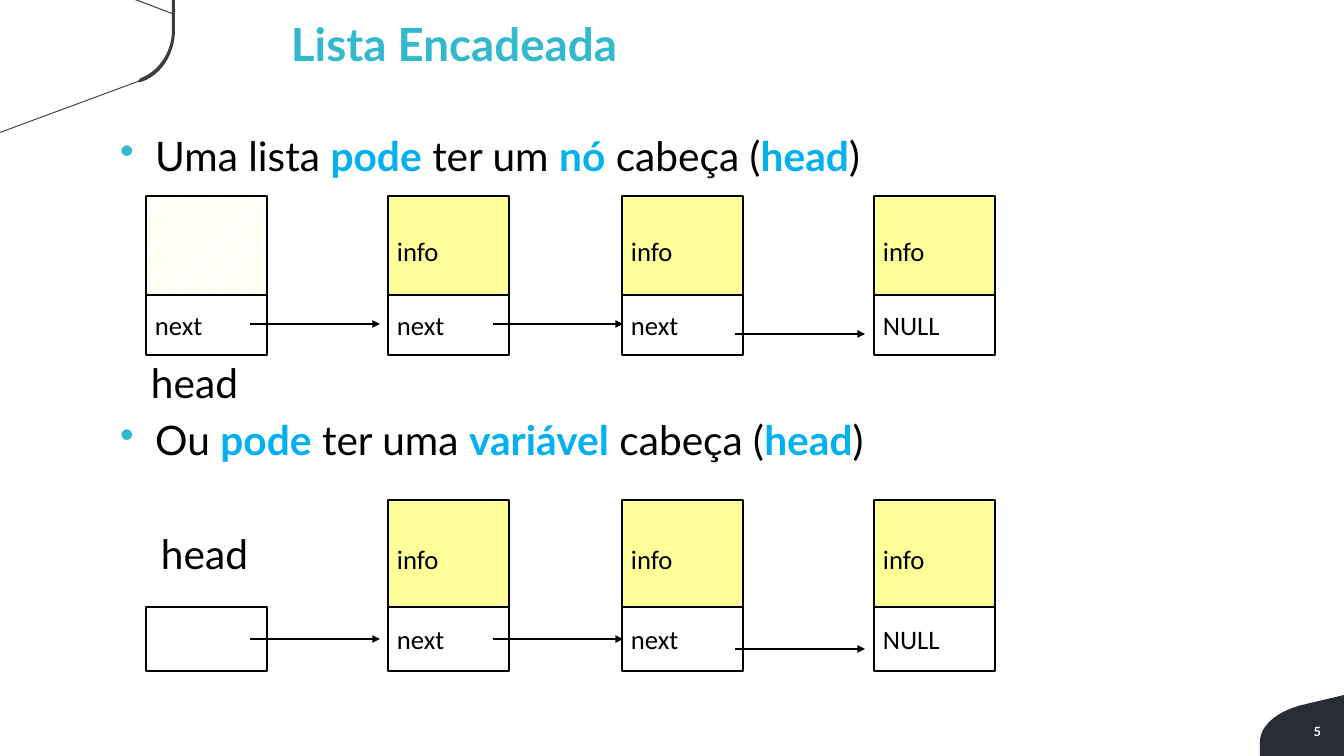
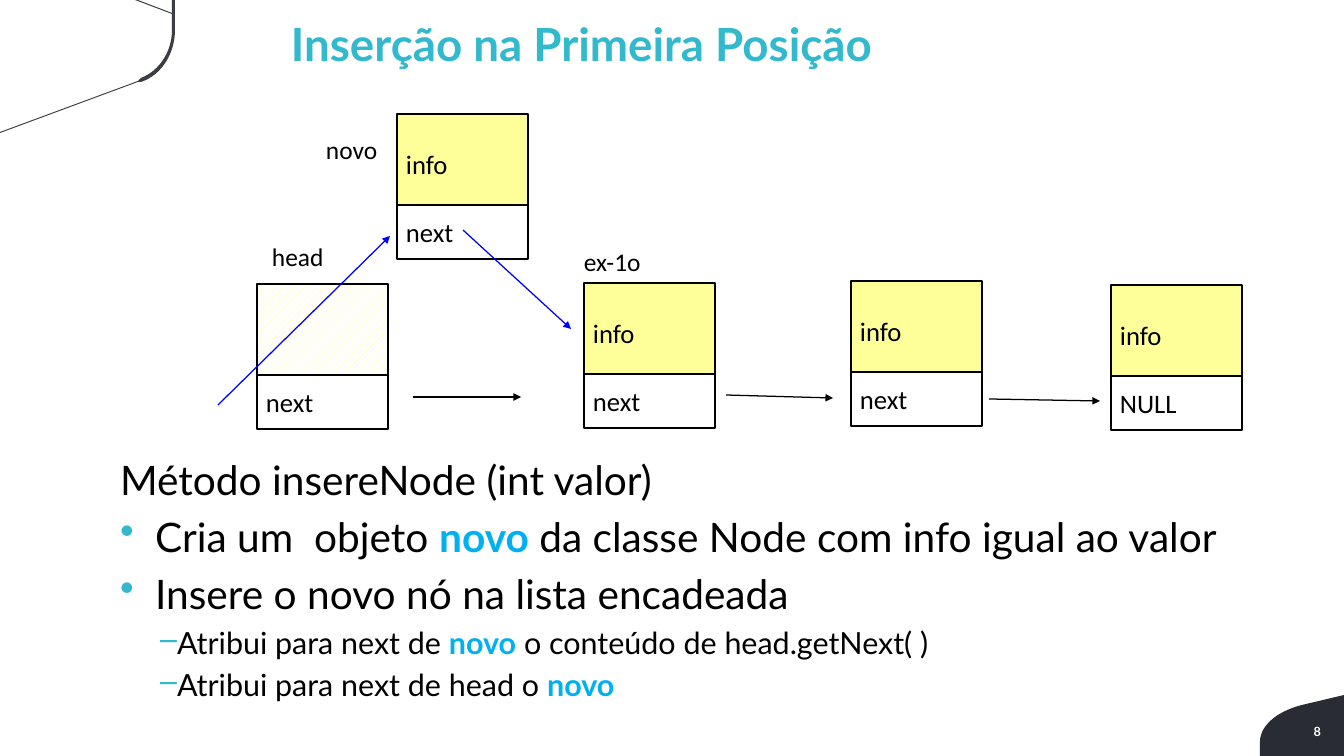
import pptx
import pptx.util
import pptx.dml.color
import pptx.enum.dml
import pptx.enum.shapes
import pptx.enum.text
import pptx.oxml
import pptx.oxml.ns

PX = 10004
SIZE = (1344, 756)
COLORS = {"title": "32B9CD", "accent": "00B0F0", "text": "000000", "white": "FFFFFF",
          "node": "FFFF99", "line": "000000", "new_link": "0000FF",
          "tab": "292C34", "corner": "3B3D42"}

TAB = [(1344, 695), (1302, 705), ((1278, 711), (1260, 725), (1260, 742)),
       (1260, 756), (1344, 756)]
CORNER = [(0, 133), (138, 82), (141, 82), ((162, 75), (175, 53), (175, 30)),
          (175, 0), (172, 0), (172, 13), (138, 0), (135, 0), (172, 14), (172, 30),
          ((172, 52), (159, 71), (141, 78)), (138, 81), (0, 132)]

STYLES = {
    "title": {"size": 36, "color": "title", "bold": True},
    "body": {"size": 32, "before": 6.4},
    "bullet": {"size": 32, "before": 6.4, "bullet": "•", "indent": 35, "hang": 35},
    "dash": {"size": 24, "before": 4.8, "bullet": "–", "indent": 57, "hang": 17},
    "cell": {"size": 21, "font": "Calibri"},
    "label": {"size": 20, "font": "Calibri"},
    "number": {"size": 10, "color": "white", "bold": True, "align": "RIGHT"},
}

HATCHED = "hatched"
TALL = {"width": 121, "info": 109, "drop": 99, "next": 60}
TALLER = {"width": 121, "info": 117, "drop": 107, "next": 64}
SMALL = {"width": 131, "info": 100, "drop": 91, "next": 54}
LIST_X = (146, 388, 622, 874)
ARROW_X = ((250, 380), (493, 623), (735, 865))


def list_row(y, size, head, arrow_y):
    cells = (head, ("info", "next"), ("info", "next"), ("info", "NULL"))
    nodes = [(x, y, size, *cell) for x, cell in zip(LIST_X, cells)]
    arrows = [(a, arrow_y + drop, b, arrow_y + drop, "line")
              for (a, b), drop in zip(ARROW_X, (0, 0, 10))]
    return nodes, arrows


HEAD_NODE_ROW = list_row(196, TALL, (HATCHED, "next"), 324)
HEAD_VARIABLE_ROW = list_row(500, TALLER, (None, ""), 639)

SLIDES = [
    {"title": "Lista Encadeada", "number": "5",
     "texts": [((111, 126, 1122, 57), [("bullet", "Uma lista *pode* ter um *nó* cabeça (*head*)")]),
               ((142, 353, 200, 57), [("body", "head")]),
               ((111, 410, 1122, 57), [("bullet", "Ou *pode* ter uma *variável* cabeça (*head*)")]),
               ((152, 524, 200, 57), [("body", "head")])],
     "nodes": HEAD_NODE_ROW[0] + HEAD_VARIABLE_ROW[0],
     "arrows": HEAD_NODE_ROW[1] + HEAD_VARIABLE_ROW[1]},
    {"title": "Inserção na Primeira Posição", "number": "8",
     "texts": [((111, 450, 1150, 259), [
                   ("body", "Método insereNode (int valor)"),
                   ("bullet", "Cria um  objeto *novo* da classe Node com info igual ao valor"),
                   ("bullet", "Insere o novo nó na lista encadeada"),
                   ("dash", "Atribui para next de *novo* o conteúdo de head.getNext( )"),
                   ("dash", "Atribui para next de head o *novo*")]),
               ((575, 241, 103, 40), [("label", "ex-1o")]),
               ((263, 236, 77, 40), [("label", "head")]),
               ((317, 129, 77, 40), [("label", "novo")])],
     "nodes": [(584, 283, SMALL, "info", "next"), (257, 284, SMALL, HATCHED, "next"),
               (851, 281, SMALL, "info", "next"), (1111, 285, SMALL, "info", "NULL"),
               (397, 114, SMALL, "info", "next")],
     "arrows": [(413, 397, 521, 397, "line"), (726, 395, 833, 398, "line"),
                (989, 399, 1100, 401, "line"), (463, 230, 571, 329, "new_link"),
                (218, 405, 390, 236, "new_link")]},
]


def emu(*values):
    return [pptx.util.Emu(round(v * PX)) for v in values]


def rgb(name):
    return pptx.dml.color.RGBColor.from_string(COLORS[name])


def add_xml(parent, tag, attrs="", inner=""):
    ns = pptx.oxml.ns.nsdecls("a")
    parent.append(pptx.oxml.parse_xml(f"<a:{tag} {ns} {attrs}>{inner}</a:{tag}>"))


def fill_paragraph(p, style, text, first):
    fmt = STYLES[style]
    p.alignment = getattr(pptx.enum.text.PP_ALIGN, fmt.get("align", "LEFT"))
    p.space_before = pptx.util.Pt(0 if first else fmt.get("before", 0))
    if "bullet" in fmt:
        pPr = p._p.get_or_add_pPr()
        indent, hang = emu(fmt["indent"], fmt["hang"])
        pPr.set("marL", str(indent))
        pPr.set("indent", str(-hang))
        add_xml(pPr, "buClr", inner=f'<a:srgbClr val="{COLORS["title"]}"/>')
        add_xml(pPr, "buChar", f'char="{fmt["bullet"]}"')
    for i, part in enumerate(text.split("*")):
        if not part:
            continue
        r = p.add_run()
        r.text = part
        strong = i % 2 == 1
        values = {"name": fmt.get("font", "Lato"), "size": pptx.util.Pt(fmt["size"]),
                  "bold": strong or fmt.get("bold", False)}
        for key, value in values.items():
            setattr(r.font, key, value)
        r.font.color.rgb = rgb("accent" if strong else fmt.get("color", "text"))


def add_text(s, box, paragraphs, margins=(9, 5)):
    tf = s.shapes.add_textbox(*emu(*box)).text_frame
    side, edge = emu(*margins)
    values = {"word_wrap": True, "margin_left": side, "margin_right": side,
              "margin_top": edge, "margin_bottom": edge}
    for key, value in values.items():
        setattr(tf, key, value)
    for i, (style, text) in enumerate(paragraphs):
        p = tf.add_paragraph() if i else tf.paragraphs[0]
        fill_paragraph(p, style, text, i == 0)


def add_outline(s, outline, color):
    points = []
    for item in outline:
        if isinstance(item[0], tuple):
            curve = (points[-1], *item)
            for step in range(1, 17):
                t = step / 16
                weights = ((1 - t) ** 3, 3 * t * (1 - t) ** 2, 3 * t * t * (1 - t), t ** 3)
                points.append(tuple(sum(w * c[axis] for w, c in zip(weights, curve))
                                    for axis in (0, 1)))
        else:
            points.append(item)
    start, *rest = [emu(*point) for point in points]
    builder = s.shapes.build_freeform(*start, scale=1.0)
    builder.add_line_segments(rest, close=True)
    sp = builder.convert_to_shape()
    sp.shadow.inherit = False
    sp.fill.solid()
    sp.fill.fore_color.rgb = rgb(color)
    sp.line.fill.background()


def add_cell(s, box, text, color):
    sp = s.shapes.add_shape(pptx.enum.shapes.MSO_SHAPE.RECTANGLE, *emu(*box))
    sp.shadow.inherit = False
    if text == HATCHED:
        sp.fill.patterned()
        sp.fill.pattern = pptx.enum.dml.MSO_PATTERN.WIDE_UPWARD_DIAGONAL
        sp.fill.back_color.rgb = rgb("white")
    else:
        sp.fill.solid()
    sp.fill.fore_color.rgb = rgb(color)
    sp.line.color.rgb = rgb("line")
    sp.line.width = pptx.util.Pt(1)
    if text and text != HATCHED:
        tf = sp.text_frame
        tf.vertical_anchor = pptx.enum.text.MSO_ANCHOR.MIDDLE
        fill_paragraph(tf.paragraphs[0], "cell", text, True)


def add_node(s, x, y, size, info, link):
    if info:
        add_cell(s, (x, y, size["width"], size["info"]), info, "node")
    add_cell(s, (x, y + size["drop"], size["width"], size["next"]), link, "white")


def add_arrow(s, x1, y1, x2, y2, color):
    straight = pptx.enum.shapes.MSO_CONNECTOR.STRAIGHT
    sp = s.shapes.add_connector(straight, *emu(x1, y1, x2, y2))
    sp.line.color.rgb = rgb(color)
    sp.line.width = pptx.util.Pt(1)
    add_xml(sp.line._get_or_add_ln(), "tailEnd", 'type="triangle"')
    add_xml(sp._element.spPr, "effectLst")


def add_base(prs, title, number):
    s = prs.slides.add_slide(prs.slide_layouts[6])
    s.background.fill.solid()
    s.background.fill.fore_color.rgb = rgb("white")
    add_outline(s, TAB, "tab")
    add_outline(s, CORNER, "corner")
    add_text(s, (282, 11, 1014, 77), [("title", title)])
    add_text(s, (1260, 723, 63, 21), [("number", number)], (2, 1))
    return s


prs = pptx.Presentation()
prs.slide_width, prs.slide_height = emu(*SIZE)
for content in SLIDES:
    s = add_base(prs, content["title"], content["number"])
    for box, paragraphs in content["texts"]:
        add_text(s, box, paragraphs)
    for node in content["nodes"]:
        add_node(s, *node)
    for arrow in content["arrows"]:
        add_arrow(s, *arrow)
prs.save("out.pptx")
